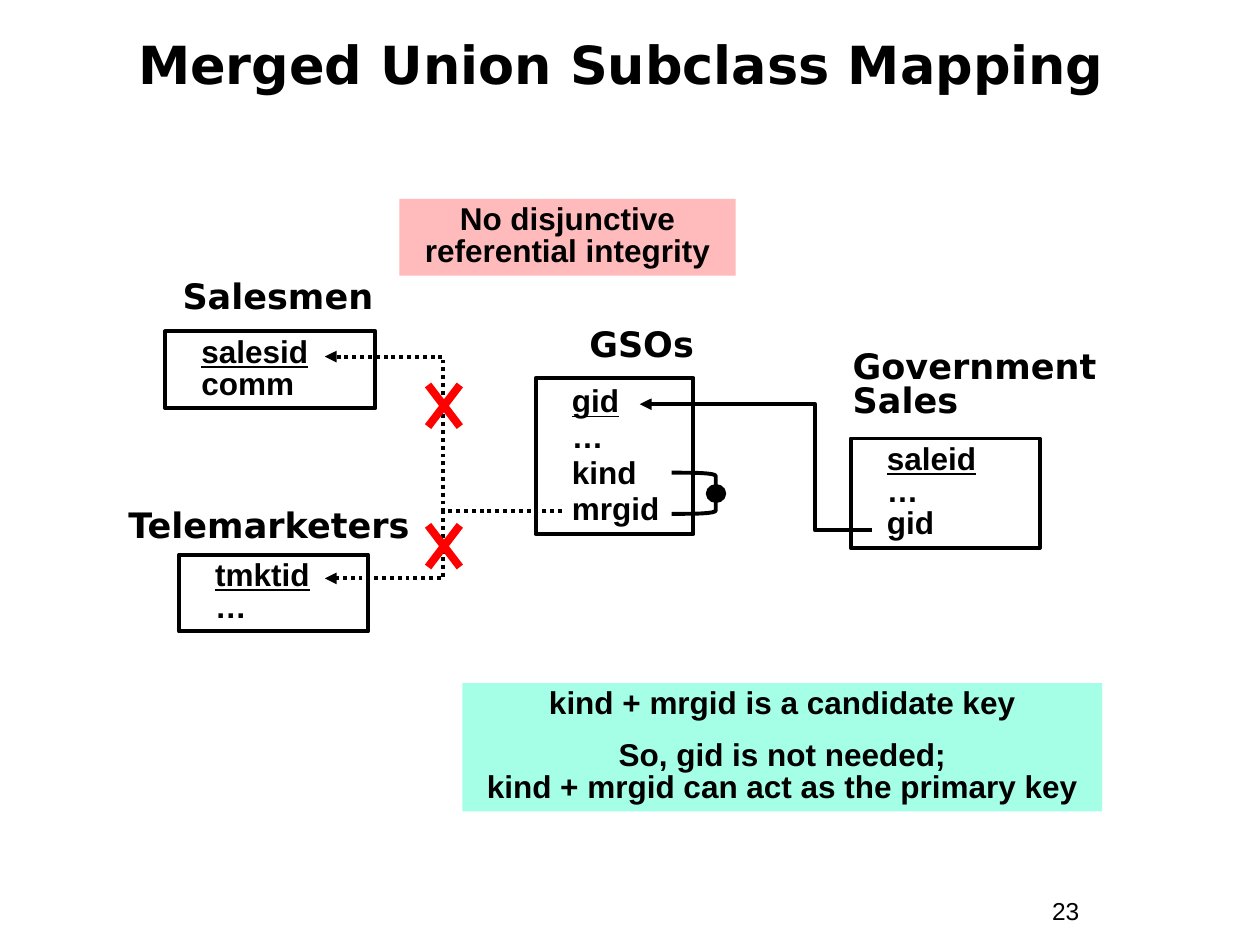
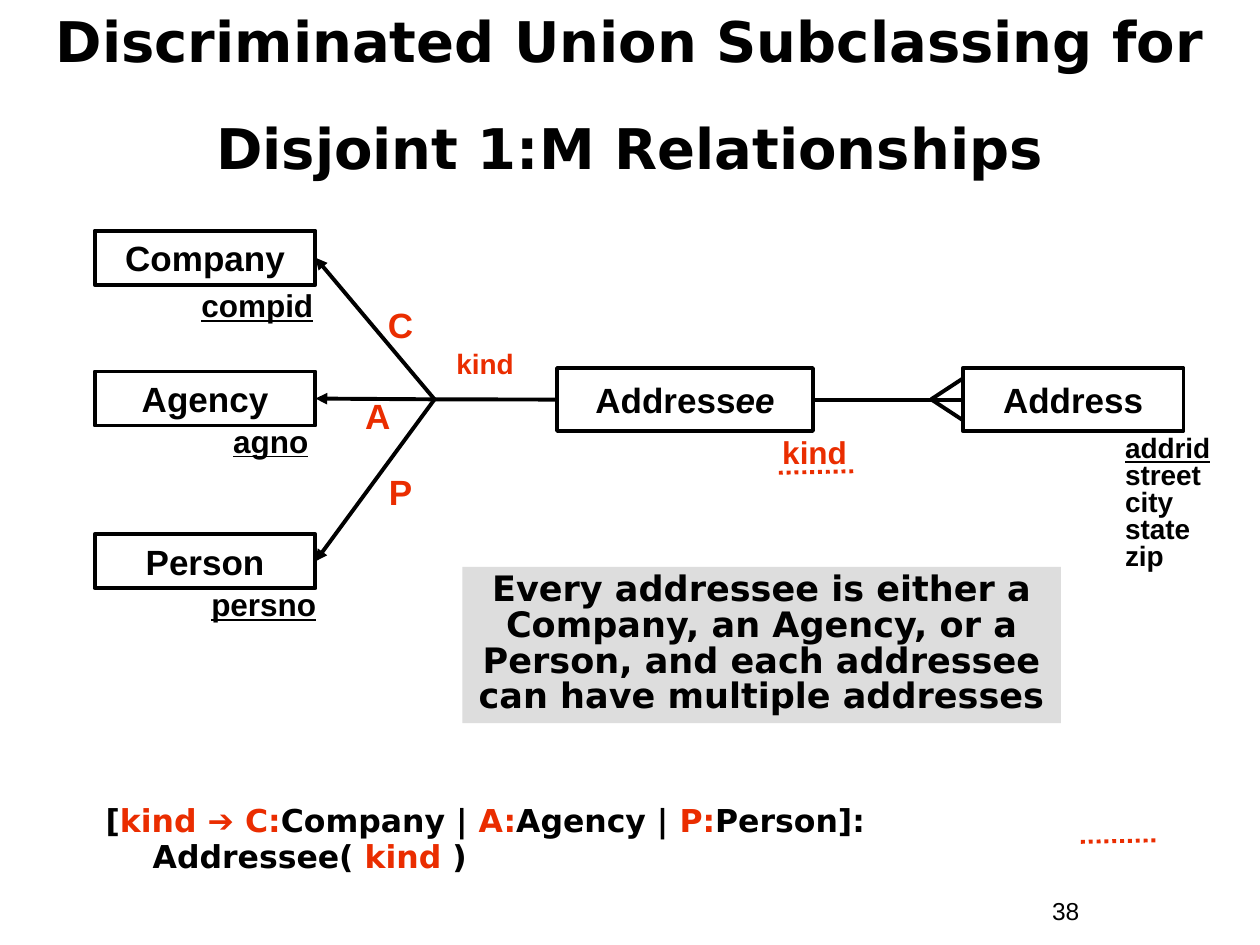
from copy import deepcopy

from lxml.etree import SubElement as sub_element
from pptx import Presentation
from pptx.dml.color import RGBColor
from pptx.enum.dml import MSO_LINE as DASH
from pptx.enum.shapes import MSO_CONNECTOR as WIRE, MSO_SHAPE as SHAPE
from pptx.enum.text import MSO_ANCHOR as ANCHOR, MSO_AUTO_SIZE as FIT, PP_ALIGN as ALIGN
from pptx.oxml.ns import qn
from pptx.util import Cm, Pt

BLACK, RED, ORANGE = "000000", "FF0000", "EA2D00"
PINK, MINT, GREY = "FFBBBB", "A5FFE7", "DDDDDD"
HEADING, TEXT = "DejaVu Sans", "Arial"
LEFT, RIGHT = 1, 3
UNDERLINED = {"underline": True}
CENTER = {"alignment": ALIGN.CENTER}


def colour(hex_string):
    return RGBColor.from_string(hex_string)


def set_all(target, values):
    for name, value in values.items():
        setattr(target, name, value)


class Board:
    """Holds the deck's style and the current page."""

    def __init__(self):
        self.deck = Presentation()
        self.deck.slide_width, self.deck.slide_height = Cm(25.4), Cm(19.05)
        self.page = None

    def new_page(self, title, number, place, size, spacing=1.0):
        self.page = self.deck.slides.add_slide(self.deck.slide_layouts[5])
        holder = self.page.shapes.title
        set_all(holder, dict(zip(("left", "top", "width", "height"), map(Cm, place))))
        self.put_text(holder, [title], size, HEADING, anchor=ANCHOR.MIDDLE,
                      layout={**CENTER, "line_spacing": spacing})
        self.label((20.96, 17.93, 2.34, 0.86), [number], 14, bold=False)

    def put_text(self, shape, paragraphs, size=18, font=TEXT, ink=BLACK, bold=True,
                 anchor=ANCHOR.TOP, wrap=True, layout=None, indent=(0, 0)):
        """A paragraph is a string or a list of (string, format) spans."""
        frame = shape.text_frame
        set_all(frame, {"word_wrap": wrap, "auto_size": FIT.NONE, "vertical_anchor": anchor})
        for index, content in enumerate(paragraphs):
            para = frame.paragraphs[0] if index == 0 else frame.add_paragraph()
            set_all(para, {"alignment": ALIGN.LEFT, **(layout or {})})
            if any(indent):
                properties = para._p.get_or_add_pPr()
                for name, length in zip(("marL", "indent"), indent):
                    properties.set(name, str(Cm(length)))
            spans = [(content, {})] if isinstance(content, str) else content
            for words, changes in spans:
                values = {"size": Pt(size), "name": font, "bold": bold, **changes}
                shade = values.pop("ink", ink)
                for row, piece in enumerate(words.split("\v")):
                    if row:
                        para.add_line_break()
                        para._p.findall(qn("a:br"))[-1].insert(0, deepcopy(span._r.rPr))
                    span = para.add_run()
                    span.text = piece
                    set_all(span.font, values)
                    span.font.color.rgb = colour(shade)

    def label(self, place, paragraphs, size=18, font=TEXT, **style):
        box = self.page.shapes.add_textbox(*map(Cm, place))
        self.put_text(box, paragraphs, size, font, **style)

    def box(self, place, paragraphs=(), size=18, font=TEXT, fill=None, line=BLACK,
            kind=SHAPE.RECTANGLE, **style):
        shape = self.page.shapes.add_shape(kind, *map(Cm, place))
        self.paint(shape, fill, line)
        self.put_text(shape, paragraphs, size, font, **style)
        return shape

    def paint(self, shape, fill, line):
        shape.shadow.inherit = False
        if fill:
            shape.fill.solid()
            shape.fill.fore_color.rgb = colour(fill)
        else:
            shape.fill.background()
        if line:
            shape.line.color.rgb = colour(line)
            shape.line.width = Pt(2.25)
        else:
            shape.line.fill.background()

    def table_box(self, place, rows, spacing=0.85):
        """A relation: its key is underlined on the first row."""
        self.box(place, [[(rows[0], UNDERLINED)], *rows[1:]], indent=(0.48, 0),
                 layout={"line_spacing": spacing})

    def entity(self, place, spans):
        return self.box(place, [spans], 20, anchor=ANCHOR.MIDDLE, wrap=False, layout=CENTER)

    def note(self, place, paragraphs, fill, size=18, font=TEXT):
        self.box(place, paragraphs, size, font, fill=fill, line=None,
                 layout={**CENTER, "line_spacing": 0.85, "space_before": Pt(11.2)})

    def line(self, start, end, ink=BLACK, width=2.25, arrow=False, dash=None,
             bend=None, begin=None, finish=None):
        kind = WIRE.STRAIGHT if bend is None else WIRE.ELBOW
        wire = self.page.shapes.add_connector(kind, *map(Cm, (*start, *end)))
        wire.line.color.rgb = colour(ink)
        wire.line.width = Pt(width)
        if dash:
            wire.line.dash_style = dash
        if arrow:
            sub_element(wire._element.spPr.find(qn("a:ln")), qn("a:tailEnd"), type="triangle")
        if bend is not None:
            guides = wire._element.spPr.find(qn("a:prstGeom")).find(qn("a:avLst"))
            sub_element(guides, qn("a:gd"), name="adj1", fmla=f"val {round(bend * 100000)}")
        sub_element(wire._element.spPr, qn("a:effectLst"))
        if begin:
            wire.begin_connect(*begin)
        if finish:
            wire.end_connect(*finish)

    def cross(self, x, y, half_width=0.32, half_height=0.42):
        for side in (-1, 1):
            self.line((x - side * half_width, y - half_height),
                      (x + side * half_width, y + half_height), RED, 4.5)

    def bracket(self, left, right, top, bottom, drop=0.07, steps=8):
        """Open bracket whose two arms curve gently into the upright."""
        width = right - left
        arm = []
        for step in range(steps + 1):
            t = step / steps
            x = left + width * (1.5 * t * (1 - t) ** 2 + 3 * t ** 2 * (1 - t) + t ** 3)
            arm.append((x, top + drop * t ** 3))
        points = arm + [(x, top + bottom - y) for x, y in reversed(arm)]
        start, *rest = [(Cm(x), Cm(y)) for x, y in points]
        builder = self.page.shapes.build_freeform(*start)
        builder.add_line_segments(rest, close=False)
        self.paint(builder.convert_to_shape(), None, BLACK)


def merged_mapping(board):
    board.new_page("Merged Union Subclass Mapping ", "23", (0.43, 0.43, 24.56, 1.7), 30)

    # Relations and their names
    board.table_box((3.33, 6.68, 4.24, 1.55), ["salesid", "comm"])
    board.table_box((3.61, 11.18, 3.81, 1.55), ["tmktid", "…"])
    board.table_box((10.8, 7.62, 3.18, 3.15), ["gid", "…", "kind", "mrgid"], 0.95)
    board.table_box((17.15, 8.84, 3.81, 2.21), ["saleid", "…\vgid"])
    names = [("Salesmen", 3.43, 5.41, 5.46), ("Telemarketers", 2.34, 10.03, 6.35),
             ("GSOs", 11.63, 6.38, 3.38)]
    for name, left, top, width in names:
        board.label((left, top, width, 1.12), [name], 20, HEADING)
    board.label((16.94, 6.99, 5.92, 1.63), ["Government\vSales"], 20, HEADING,
                layout={"line_spacing": 0.8})

    # References, the disjunctive ones crossed out
    board.line((17.58, 10.69), (12.9, 8.15), arrow=True, bend=0.246)
    for target_y in (7.19, 11.66):
        board.line((11.33, 10.31), (6.55, target_y), arrow=True, bend=0.5, dash=DASH.ROUND_DOT)
    for cross_y in (11.01, 8.18):
        board.cross(8.95, cross_y)

    # Composite key mark
    board.bracket(13.54, 14.43, 9.53, 10.36)
    board.box((14.27, 9.8, 0.33, 0.3), fill=BLACK, kind=SHAPE.OVAL)

    # Notes
    board.note((8.05, 4.01, 6.78, 1.55), ["No disjunctive\vreferential integrity"], PINK)
    board.note((9.32, 13.77, 12.9, 2.59),
               ["kind + mrgid is a candidate key",
                "So, gid is not needed;\vkind + mrgid can act as the primary key"], MINT)


def discriminated_subclassing(board):
    board.new_page("Discriminated Union Subclassing for \vDisjoint 1:M Relationships", "38",
                   (0.85, 0.85, 23.7, 2.33), 32, 0.8)
    junction = (8.76, 8.05)
    tight = {"line_spacing": 0.8}

    # Entities
    addressee = board.entity((11.23, 7.42, 5.16, 1.27),
                             [("Address", {}), ("ee", {"italic": True})])
    address = board.entity((19.41, 7.42, 4.45, 1.27), [("Address", {})])

    # Subclasses: name, top, key, key place, discriminator, its place
    subclasses = [("Company", 4.65, "compid", (3.81, 5.72), "C", (7.34, 6.15)),
                  ("Agency", 7.49, "agno", (4.45, 8.46), "A", (6.88, 8.0)),
                  ("Person", 10.77, "persno", (4.01, 11.76), "P", (7.34, 9.53))]
    for name, top, key, key_place, letter, letter_place in subclasses:
        box = board.entity((1.91, top, 4.45, 1.09), [(name, {})])
        board.line(junction, (6.36, top + 0.55), arrow=True, finish=(box, RIGHT))
        board.label((*key_place, 2.97, 0.94), [[(key, UNDERLINED)]],
                    layout={"line_spacing": 0.9})
        board.label((*letter_place, 1.47, 0.94), [letter], 20, ink=ORANGE,
                    layout={**CENTER, **tight})

    # Relationship lines with the crow's foot
    board.line(junction, (11.23, 8.05), finish=(addressee, LEFT))
    board.line((16.39, 8.05), (19.41, 8.05), begin=(addressee, RIGHT), finish=(address, LEFT))
    for spread in (-0.42, 0.42):
        board.line((18.77, 8.05), (19.41, 8.05 + spread))

    # Attributes
    board.label((8.51, 6.99, 2.54, 0.81), ["kind"], 16, ink=ORANGE, layout={**CENTER, **tight})
    board.label((15.52, 8.69, 2.97, 0.94), ["kind"], ink=ORANGE, layout={"line_spacing": 0.9})
    board.label((22.43, 8.69, 2.97, 2.97),
                [[("addrid", UNDERLINED)], "street", "city", "state", "zip"], 16, layout=tight)
    for left, top in ((15.7, 9.5), (21.79, 16.94)):
        board.line((left, top + 0.03), (left + 1.5, top), ORANGE, dash=DASH.ROUND_DOT)

    # Note and constraint
    board.note((9.32, 11.43, 12.07, 3.15),
               ["Every addressee is either a Company, an Agency, or a Person, "
                "and each addressee can have multiple addresses"], GREY, 20, HEADING)
    accent = {"ink": ORANGE}
    constraint = [("[", {}), ("kind ", accent), ("➔", {**accent, "name": TEXT}), (" C:", accent),
                  ("Company | ", {}), ("A:", accent), ("Agency | ", {}), ("P:", accent),
                  ("Person]: Addressee( ", {}), ("kind", accent), (" )", {})]
    board.label((1.88, 16.08, 21.64, 0.99), [constraint], 18, HEADING, indent=(0.95, -0.95),
                layout={"line_spacing": 0.95, "space_before": Pt(5.6)})


def main():
    board = Board()
    merged_mapping(board)
    discriminated_subclassing(board)
    board.deck.save("out.pptx")


if __name__ == "__main__":
    main()
